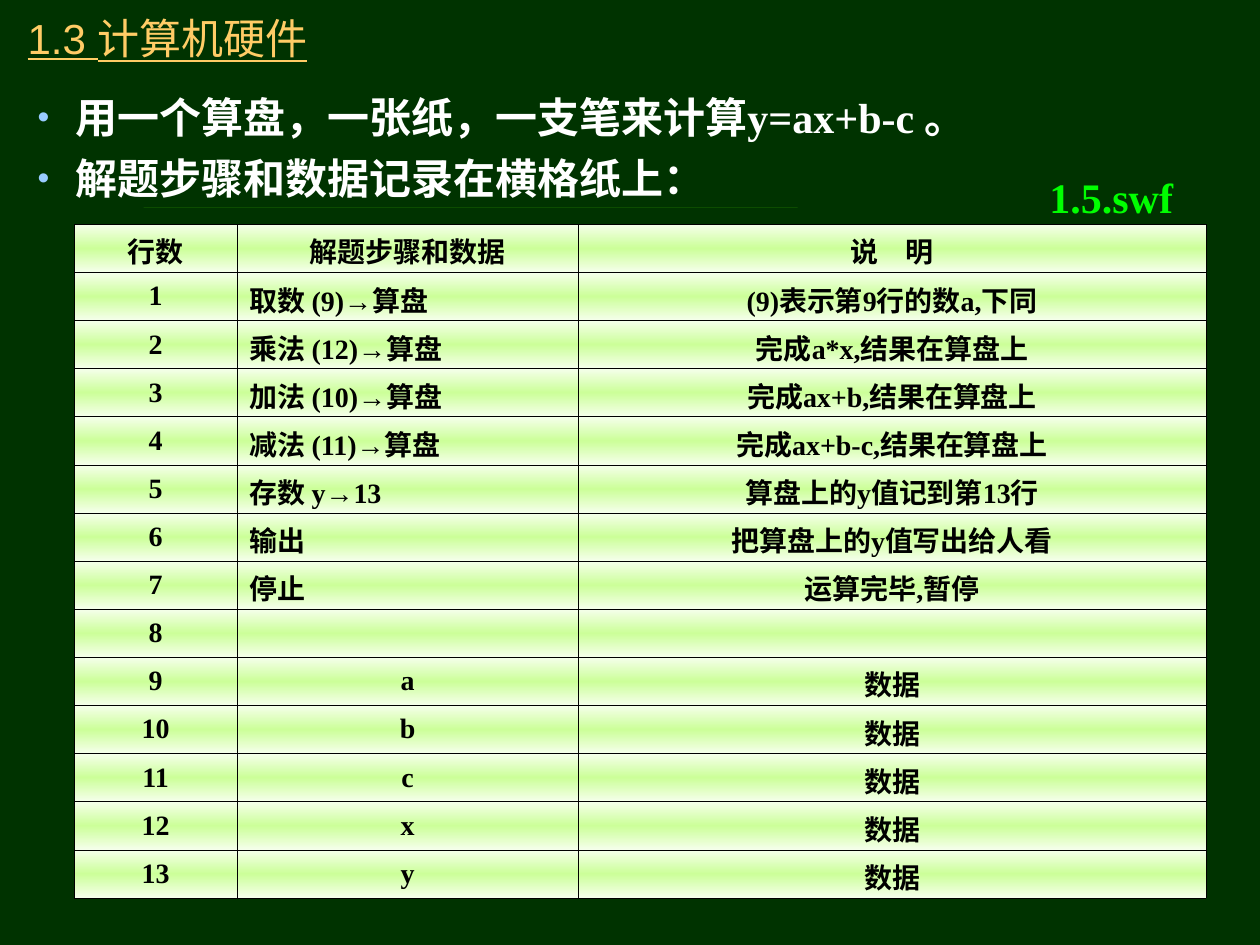
from pptx import Presentation
from pptx.dml.color import RGBColor
from pptx.enum.shapes import MSO_SHAPE
from pptx.enum.text import MSO_ANCHOR, PP_ALIGN
from pptx.oxml import parse_xml
from pptx.oxml.ns import nsdecls
from pptx.util import Inches, Pt

SERIF = "Times New Roman"
TITLE = "1.3 计算机硬件"
POINTS = ["用一个算盘，一张纸，一支笔来计算y=ax+b-c 。", "解题步骤和数据记录在横格纸上："]
HEAD = ("行数", "解题步骤和数据", "说　明")
STEPS = [
    ("取数 (9)→算盘", "(9)表示第9行的数a,下同"),
    ("乘法 (12)→算盘", "完成a*x,结果在算盘上"),
    ("加法 (10)→算盘", "完成ax+b,结果在算盘上"),
    ("减法 (11)→算盘", "完成ax+b-c,结果在算盘上"),
    ("存数 y→13", "算盘上的y值记到第13行"),
    ("输出", "把算盘上的y值写出给人看"),
    ("停止", "运算完毕,暂停"),
]
DATA = [(name, "数据") for name in "abcxy"]
LINES = STEPS + [("", "")] + DATA
ROWS = [HEAD] + [(str(n), *line) for n, line in enumerate(LINES, 1)]
COLS = (1.29, 2.71, 4.98)
HIGH = 5.35
STOPS = ((0, "F5FFEB"), (50, "CCFF99"), (100, "F5FFEB"))


def color(code):
    return RGBColor.from_string(code)


def style(para, size, code, face=SERIF, bold=True):
    for run in para.runs:
        font = run.font
        font.size, font.name, font.bold = Pt(size), face, bold
        font.color.rgb = color(code)


def add_text(slide, place, lines, wrap=True):
    frame = slide.shapes.add_textbox(*map(Inches, place)).text_frame
    frame.word_wrap = wrap
    frame.text = "\n".join(lines)
    return frame


def add_bullet(para):
    props = para._p.get_or_add_pPr()
    props.set("marL", str(Inches(0.3)))
    props.set("indent", str(-Inches(0.3)))
    for body in (
        '<a:buClr {}><a:srgbClr val="99CCFF"/></a:buClr>',
        '<a:buSzPct {} val="80000"/>',
        '<a:buFont {} typeface="Arial"/>',
        '<a:buChar {} char="•"/>',
    ):
        props.append(parse_xml(body.format(nsdecls("a"))))


def paint(cell):
    props = cell._tc.get_or_add_tcPr()
    for side in "LRTB":
        props.append(parse_xml(
            f'<a:ln{side} {nsdecls("a")} w="{Pt(0.34)}"><a:solidFill>'
            f'<a:srgbClr val="000000"/></a:solidFill></a:ln{side}>'))
    stops = "".join(f'<a:gs pos="{pos * 1000}"><a:srgbClr val="{code}"/></a:gs>'
                    for pos, code in STOPS)
    props.append(parse_xml(
        f'<a:gradFill {nsdecls("a")}><a:gsLst>{stops}</a:gsLst>'
        '<a:lin ang="5400000" scaled="0"/></a:gradFill>'))


def add_grid(slide):
    place = map(Inches, (0.59, 1.78, sum(COLS), HIGH))
    table = slide.shapes.add_table(len(ROWS), len(COLS), *place).table
    for col, width in zip(table.columns, COLS):
        col.width = Inches(width)
    for r, row in enumerate(ROWS):
        table.rows[r].height = Inches(HIGH / len(ROWS))
        for c, text in enumerate(row):
            cell = table.cell(r, c)
            cell.vertical_anchor = MSO_ANCHOR.MIDDLE
            if not text:
                cell.margin_top = cell.margin_bottom = 0
            para = cell.text_frame.paragraphs[0]
            para.text = text
            step = c == 1 and 1 <= r <= len(STEPS)
            para.alignment = PP_ALIGN.LEFT if step else PP_ALIGN.CENTER
            style(para, 16, "000000")
            paint(cell)


def main():
    deck = Presentation()
    deck.slide_width, deck.slide_height = Inches(10), Inches(7.5)
    slide = deck.slides.add_slide(deck.slide_layouts[6])
    back = slide.background.fill
    back.solid()
    back.fore_color.rgb = color("003300")

    title = add_text(slide, (0.12, 0.05, 7.25, 0.5), [TITLE])
    title.vertical_anchor = MSO_ANCHOR.MIDDLE
    style(title.paragraphs[0], 24, "FFCC66", "Arial", False)
    title.paragraphs[0].runs[0].font.underline = True

    body = add_text(slide, (0.2, 0.68, 9.61, 6.61), POINTS)
    for n, para in enumerate(body.paragraphs):
        add_bullet(para)
        if n:
            para.space_before = Pt(6)
        style(para, 24, "FFFFFF")

    rule = slide.shapes.add_shape(
        MSO_SHAPE.RECTANGLE, *map(Inches, (1.14, 1.65, 5.19, 0)))
    rule.shadow.inherit = False
    rule.fill.solid()
    rule.fill.fore_color.rgb = color("66FF00")
    rule.line.fill.background()

    add_grid(slide)
    label = add_text(slide, (8.23, 1.31, 1.18, 0.5), ["1.5.swf"], False)
    style(label.paragraphs[0], 24, "00FF00")
    deck.save("out.pptx")


if __name__ == "__main__":
    main()
